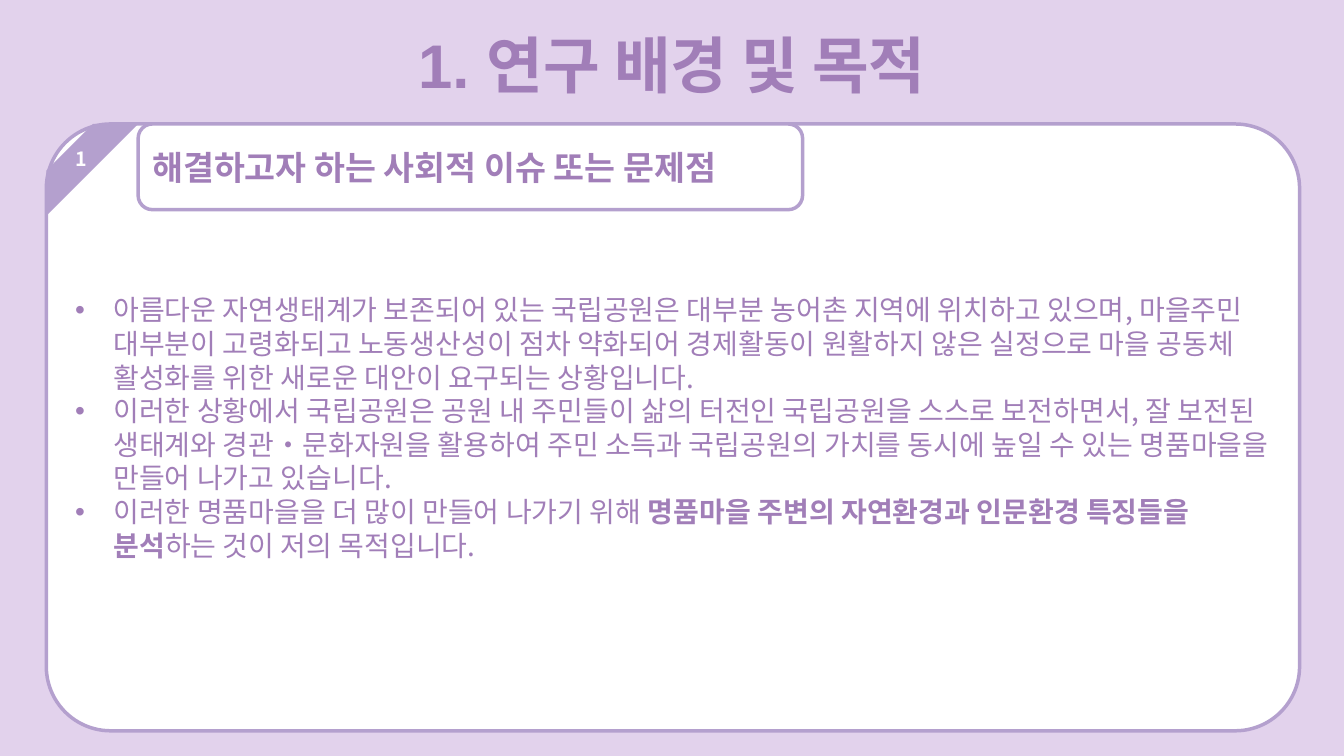
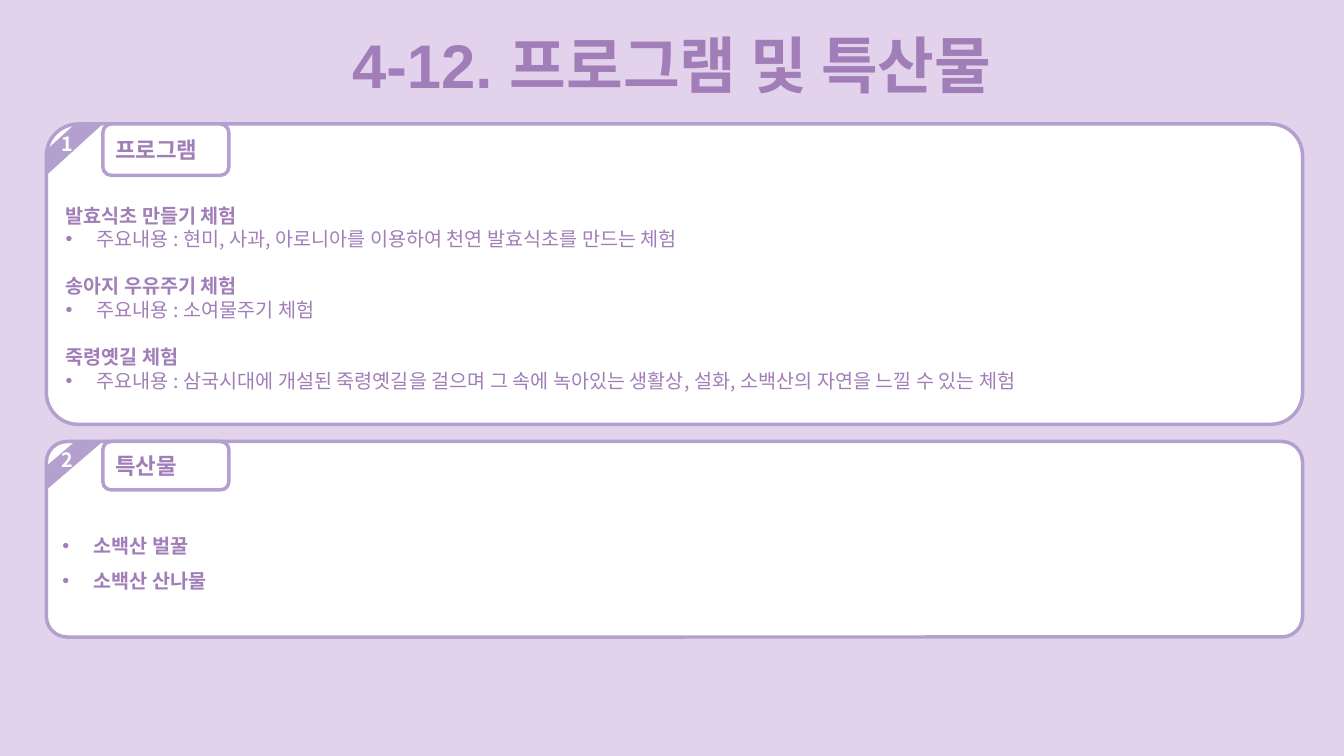
"""Build two slides on the research background and the village programmes."""
from lxml import etree
from pptx import Presentation, util as u
from pptx.dml.color import RGBColor
from pptx.enum import shapes, text
from pptx.oxml import ns

PX = 9144
LILAC = RGBColor(0xE2, 0xD2, 0xEC)
PURPLE = RGBColor(0xA1, 0x7E, 0xB8)
BORDER = RGBColor(0xB4, 0xA0, 0xCE)
WHITE = RGBColor(0xFF, 0xFF, 0xFF)
SANS = "Noto Sans CJK KR"
LEFT = 46


def add_text(paragraph, parts, size, color=PURPLE, font=SANS, bold=False, align=text.PP_ALIGN.LEFT,
             indent=0, before=0, spacing=None):
    """Fill a paragraph with text; every second part, split at *, is bold."""
    paragraph.alignment = align
    if before:
        paragraph.space_before = u.Pt(before)
    if spacing:
        paragraph.line_spacing = spacing
    if indent:
        properties = paragraph._p.get_or_add_pPr()
        properties.set("marL", str(indent * PX))
        properties.set("indent", str(-indent * PX))
        etree.SubElement(properties, ns.qn("a:buFont"), typeface="Arial")
        etree.SubElement(properties, ns.qn("a:buChar"), char="•")
    for index, part in enumerate(parts.split("*")):
        run = paragraph.add_run()
        run.text = part
        run.font.size = u.Pt(size)
        run.font.name = font
        run.font.bold = bold or index % 2 == 1
        run.font.color.rgb = color
        etree.SubElement(run._r.get_or_add_rPr(), ns.qn("a:ea"), typeface=SANS)


def add_box(slide, kind, left, top, width, height, fill, line=None, corner=None):
    """Add a flat shape whose text is anchored in the middle."""
    shape = slide.shapes.add_shape(kind, left * PX, top * PX, width * PX, height * PX)
    shape.shadow.inherit = False
    shape.fill.solid()
    shape.fill.fore_color.rgb = fill
    if line:
        shape.line.color.rgb = line
        shape.line.width = u.Pt(2.5)
    else:
        shape.line.fill.background()
    if corner:
        shape.adjustments[0] = corner
    shape.text_frame.word_wrap = True
    shape.text_frame.vertical_anchor = text.MSO_ANCHOR.MIDDLE
    return shape


background_lines = [
    ("아름다운 자연생태계가 보존되어 있는 국립공원은 대부분 농어촌 지역에 위치하고 있으며, 마을주민 대부분이 고령화되고 "
     "노동생산성이 점차 약화되어 경제활동이 원활하지 않은 실정으로 마을 공동체 활성화를 위한 새로운 대안이 요구되는 상황입니다.",
     dict(indent=38)),
    ("이러한 상황에서 국립공원은 공원 내 주민들이 삶의 터전인 국립공원을 스스로 보전하면서, 잘 보전된 생태계와 "
     "경관‧문화자원을 활용하여 주민 소득과 국립공원의 가치를 동시에 높일 수 있는 명품마을을 만들어 나가고 있습니다.",
     dict(indent=38)),
    ("이러한 명품마을을 더 많이 만들어 나가기 위해 *명품마을 주변의 자연환경과 인문환경 특징들을 분석*하는 것이 저의 목적입니다.",
     dict(indent=38)),
]
programs = [
    ("발효식초 만들기 체험", "현미, 사과, 아로니아를 이용하여 천연 발효식초를 만드는 체험"),
    ("송아지 우유주기 체험", "소여물주기 체험"),
    ("죽령옛길 체험", "삼국시대에 개설된 죽령옛길을 걸으며 그 속에 녹아있는 생활상, 설화, 소백산의 자연을 느낄 수 있는 체험"),
]
program_lines = []
for index, (name, content) in enumerate(programs):
    program_lines.append((name, dict(bold=True, before=17 if index else 0)))
    program_lines.append((f"주요내용 : {content}", dict(indent=31)))
product_lines = [
    ("소백산 벌꿀", dict(indent=31, bold=True, font="Arial")),
    ("소백산 산나물", dict(indent=31, bold=True, font="Arial", spacing=1.5)),
]

decks = [
    ("1. 연구 배경 및 목적", [
        dict(heading="해결하고자 하는 사회적 이슈 또는 문제점", heading_size=24, lines=background_lines, size=20,
             top=123, width=1243, height=602, corner=91, corner_height=91, tab=659, tab_height=85, lead=0),
    ]),
    ("4-12. 프로그램 및 특산물", [
        dict(heading="프로그램", heading_size=16, lines=program_lines, size=14,
             top=123, width=1246, height=298, corner=56, corner_height=51, tab=125, tab_height=51, lead=47),
        dict(heading="특산물", heading_size=16, lines=product_lines, size=14,
             top=438, width=1246, height=194, corner=56, corner_height=48, tab=125, tab_height=48, lead=47),
    ]),
]

presentation = Presentation()
presentation.slide_width = 1333 * PX
presentation.slide_height = 750 * PX
ROUNDED = shapes.MSO_SHAPE.ROUNDED_RECTANGLE

for title, panels in decks:
    slide = presentation.slides.add_slide(presentation.slide_layouts[6])
    slide.background.fill.solid()
    slide.background.fill.fore_color.rgb = LILAC
    title_box = slide.shapes.add_textbox(0, 22 * PX, 1333 * PX, 84 * PX)
    title_box.text_frame.word_wrap = True
    add_text(title_box.text_frame.paragraphs[0], title, 44, font="Arial", bold=True, align=text.PP_ALIGN.CENTER)

    for number, panel in enumerate(panels, 1):
        top = panel["top"]
        body = add_box(slide, ROUNDED, LEFT, top, panel["width"], panel["height"], WHITE, BORDER, 0.106)
        frame = body.text_frame
        frame.margin_top = (5 + panel["lead"]) * PX
        for index, (line, style) in enumerate(panel["lines"]):
            paragraph = frame.add_paragraph() if index else frame.paragraphs[0]
            add_text(paragraph, line, panel["size"], **style)

        stripe = add_box(slide, shapes.MSO_SHAPE.DIAGONAL_STRIPE, LEFT, top, panel["corner"],
                         panel["corner_height"], BORDER, corner=0.508)
        add_text(stripe.text_frame.paragraphs[0], str(number), 14, WHITE, bold=True, align=text.PP_ALIGN.CENTER)

        tab = add_box(slide, ROUNDED, LEFT + panel["corner"], top, panel["tab"], panel["tab_height"], WHITE, BORDER)
        add_text(tab.text_frame.paragraphs[0], panel["heading"], panel["heading_size"], bold=True)

presentation.save("out.pptx")
